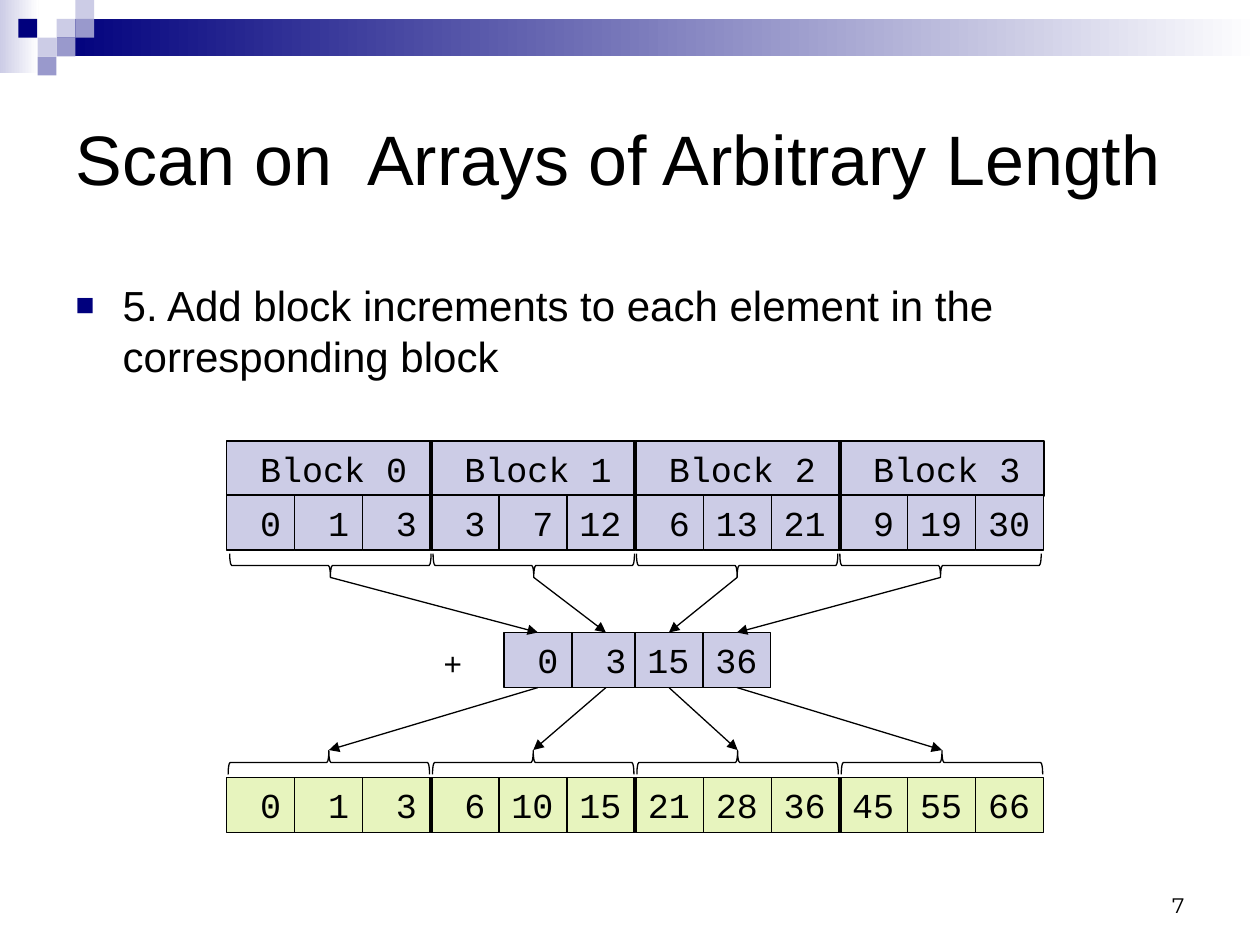
from pptx import Presentation
from pptx.dml.color import RGBColor
from pptx.enum.shapes import MSO_CONNECTOR, MSO_SHAPE
from pptx.enum.text import MSO_ANCHOR, MSO_AUTO_SIZE, PP_ALIGN
from pptx.oxml.ns import qn
from pptx.util import Cm, Pt
from lxml import etree

RECT = MSO_SHAPE.RECTANGLE
BRACE = MSO_SHAPE.RIGHT_BRACE
STRAIGHT = MSO_CONNECTOR.STRAIGHT
LEFT, RIGHT = PP_ALIGN.LEFT, PP_ALIGN.RIGHT
TOP, MIDDLE, BOTTOM = MSO_ANCHOR.TOP, MSO_ANCHOR.MIDDLE, MSO_ANCHOR.BOTTOM
NO_FIT = MSO_AUTO_SIZE.NONE

BLACK = RGBColor(0x00, 0x00, 0x00)
WHITE = RGBColor(0xFF, 0xFF, 0xFF)
NAVY = RGBColor(0x00, 0x00, 0x7D)
LILAC = RGBColor(0xCC, 0xCC, 0xE6)
VIOLET = RGBColor(0x99, 0x99, 0xCC)
LIME = RGBColor(0xE7, 0xF4, 0xBE)

prs = Presentation()
prs.slide_width, prs.slide_height = Cm(25.4), Cm(19.05)
s = prs.slides.add_slide(prs.slide_layouts[1])
shapes = s.shapes


def write(sp, text, size, font, align=LEFT, anchor=TOP, wrap=True):
    """Put one formatted run into a shape and return its paragraph."""
    tf = sp.text_frame
    tf.auto_size = NO_FIT
    tf.word_wrap = wrap
    tf.vertical_anchor = anchor
    p = tf.paragraphs[0]
    p.alignment = align
    r = p.add_run()
    r.text = text
    r.font.size, r.font.name = Pt(size), font
    r.font.color.rgb = BLACK
    return p


def line(x1, y1, x2, y2, width=0.75, arrow=False):
    """Draw a black line in cm, with an arrowhead at its end if asked."""
    c = shapes.add_connector(STRAIGHT, Cm(x1), Cm(y1), Cm(x2), Cm(y2))
    c.line.color.rgb, c.line.width = BLACK, Pt(width)
    if arrow:
        ln = c.line._get_or_add_ln()
        etree.SubElement(ln, qn("a:tailEnd"), type="triangle")
    etree.SubElement(c._element.spPr, qn("a:effectLst"))


# Header band and squares
decor = [
    (0, 0, 0.78, 1.47, (LILAC, WHITE)),
    (1.14, 0.38, 24.26, 0.75, (NAVY, WHITE)),
]
squares = [(1.14, 0.38, LILAC), (1.52, 0, LILAC), (1.52, 0.38, VIOLET),
           (0.76, 0.76, LILAC), (0.37, 0.38, NAVY), (1.14, 0.76, VIOLET),
           (0.76, 1.14, VIOLET)]
decor += [(x, y, 0.38, 0.38, (color,)) for x, y, color in squares]
for x, y, w, h, colors in decor:
    sp = shapes.add_shape(RECT, Cm(x), Cm(y), Cm(w), Cm(h))
    sp.shadow.inherit = False
    sp.line.fill.background()
    if len(colors) == 1:
        sp.fill.solid()
        sp.fill.fore_color.rgb = colors[0]
    else:
        sp.fill.gradient()
        sp.fill.gradient_angle = 0
        for stop, color in zip(sp.fill.gradient_stops, colors):
            stop.color.rgb = color

# Title, bullet and slide number
title, body = shapes.title, s.placeholders[1]
title.left, title.top, title.width, title.height = Cm(1.27), Cm(1.27), Cm(22.86), Cm(3.81)
write(title, "Scan on  Arrays of Arbitrary Length", 40, "Arial", anchor=MIDDLE)

body.left, body.top, body.width, body.height = Cm(1.27), Cm(5.51), Cm(22.86), Cm(1.7)
p = write(body, "5. Add block increments to each element in the corresponding block",
          24, "Arial")
p.space_before = Pt(5)
pPr = p._p.get_or_add_pPr()
pPr.set("marL", str(Cm(0.95)))
pPr.set("indent", str(-Cm(0.95)))
bu_color = etree.SubElement(pPr, qn("a:buClr"))
etree.SubElement(bu_color, qn("a:srgbClr"), val=str(NAVY))
etree.SubElement(pPr, qn("a:buSzPct"), val="75000")
etree.SubElement(pPr, qn("a:buFont"), typeface="Arial")
etree.SubElement(pPr, qn("a:buChar"), char="■")

number = shapes.add_textbox(Cm(18.21), Cm(17.35), Cm(5.92), Cm(1.27))
write(number, "7", 12, "Montserrat", RIGHT, BOTTOM)

# Array cells
LEFT_EDGE, BLOCK_W, CELL_W, CELL_H = 4.57, 4.12, 1.37, 1.11
BLOCK_Y, SCAN_Y, SUM_Y, RESULT_Y = 8.89, 9.98, 12.75, 15.67
block_x = [LEFT_EDGE + BLOCK_W * i for i in range(4)]
cell_x = [x + CELL_W * j for x in block_x for j in range(3)]
sum_x = [10.16, 11.53, 12.8, 14.17]
rows = [
    (block_x, BLOCK_Y, BLOCK_W, LILAC, [f" Block {i}" for i in range(4)]),
    (cell_x, SCAN_Y, CELL_W, LILAC, [0, 1, 3, 3, 7, 12, 6, 13, 21, 9, 19, 30]),
    (sum_x, SUM_Y, CELL_W, LILAC, [0, 3, 15, 36]),
    (cell_x, RESULT_Y, CELL_W, LIME, [0, 1, 3, 6, 10, 15, 21, 28, 36, 45, 55, 66]),
]
for xs, y, w, color, values in rows:
    for x, value in zip(xs, values):
        sp = shapes.add_shape(RECT, Cm(x), Cm(y), Cm(w), Cm(CELL_H))
        sp.shadow.inherit = False
        sp.fill.solid()
        sp.fill.fore_color.rgb = color
        sp.line.color.rgb, sp.line.width = BLACK, Pt(0.75)
        write(sp, f"{value:>2}", 20, "Courier New", wrap=w == BLOCK_W)

plus = shapes.add_textbox(Cm(8.69), Cm(12.85), Cm(0.89), Cm(1.02))
write(plus, "+", 18, "Courier New", wrap=False)

# Block dividers
for x in block_x[1:]:
    line(x, BLOCK_Y, x, SCAN_Y + CELL_H, 2.25)
    line(x, RESULT_Y, x, RESULT_Y + CELL_H, 2.25)

# Braces and arrows between the blocks and their increments
BRACE_W, BRACE_H = 0.48, 4.06
for i, x in enumerate(sum_x):
    sum_mid = x + CELL_W / 2
    upper_mid, lower_mid = 6.66 + 4.1 * i, 6.63 + 4.12 * i
    for mid, y, angle in [(upper_mid, 11.4, 90), (lower_mid, 15.37, 270)]:
        sp = shapes.add_shape(BRACE, Cm(mid - BRACE_W / 2), Cm(y - BRACE_H / 2),
                              Cm(BRACE_W), Cm(BRACE_H))
        sp.rotation = angle
        sp.shadow.inherit = False
        sp.fill.background()
        sp.line.color.rgb, sp.line.width = BLACK, Pt(0.75)
    line(upper_mid, 11.64, sum_mid, SUM_Y, arrow=True)
    line(sum_mid, SUM_Y + CELL_H, lower_mid, 15.12, arrow=True)

prs.save("out.pptx")
